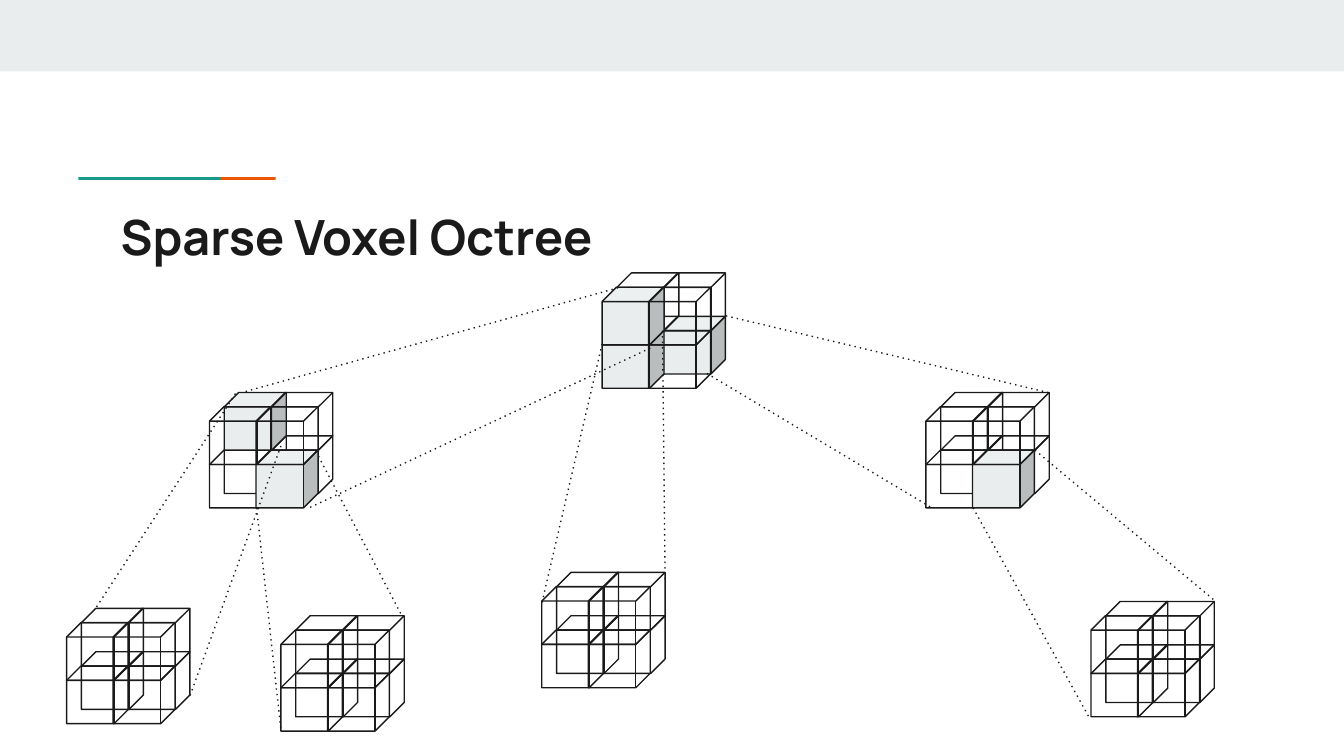
from itertools import product

from pptx import Presentation
from pptx.dml.color import RGBColor
from pptx.enum import dml, shapes, text
from pptx.oxml.ns import qn
from pptx.util import Cm, Pt

INK, PALE, TEAL, ORANGE = "1A1A1A", "E9EDEE", "1A9988", "EB5600"
TITLE = "Sparse Voxel Octree"

# left, top, width, height in cm
BARS = [
    (0, 0, 25.4, 1.35, PALE),
    (1.48, 3.35, 2.7, 0.05, TEAL),
    (4.18, 3.35, 1.03, 0.05, ORANGE),
]

# left, top in cm, and the filled voxels, counted from back to front
NODES = [
    (11.38, 5.16, {1, 2, 6}),
    (3.96, 7.42, {3, 4}),
    (17.5, 7.42, {3}),
    (10.24, 10.82, set()),
    (1.26, 11.5, set()),
    (5.31, 11.64, set()),
    (20.62, 11.37, set()),
]
WIDE, HIGH = 1.17, 1.09      # one voxel
STEP, DROP = 0.88, 0.82      # to the next column, to the lower row
BACK_X, BACK_Y = 0.28, 0.27  # shift between the front and back layers

# start and end of each dotted line, in cm
LINKS = [
    (4.45, 7.44, 1.8, 11.51),
    (5.31, 8.43, 3.58, 13.18),
    (4.85, 9.6, 5.31, 13.79),
    (5.97, 8.53, 7.59, 11.63),
    (11.68, 5.44, 4.57, 7.42),
    (12.29, 6.58, 5.84, 9.6),
    (11.38, 6.5, 10.24, 11.4),
    (12.52, 6.25, 12.57, 10.95),
    (13.72, 5.97, 19.81, 7.42),
    (13.36, 7.06, 17.58, 9.58),
    (18.39, 9.6, 20.6, 13.59),
    (19.56, 8.51, 22.99, 11.38),
]


def color(code):
    return RGBColor.from_string(code)


def add_box(slide, kind, box, fill=None, line=None):
    shape = slide.shapes.add_shape(kind, *map(Cm, box))
    shape.shadow.inherit = False
    if fill:
        shape.fill.solid()
        shape.fill.fore_color.rgb = color(fill)
    else:
        shape.fill.background()
    if line:
        shape.line.color.rgb = color(line)
        shape.line.width = Pt(0.75)
    else:
        shape.line.fill.background()


def add_title(slide):
    title = slide.shapes.title
    title.left, title.top, title.width, title.height = map(Cm, (2.03, 3.66, 21.36, 1.5))
    frame = title.text_frame
    frame.word_wrap = True
    frame.auto_size = text.MSO_AUTO_SIZE.NONE
    frame.vertical_anchor = text.MSO_ANCHOR.TOP
    frame.margin_left = frame.margin_right = Cm(0.25)
    frame.margin_top = frame.margin_bottom = Cm(0.25)
    para = frame.paragraphs[0]
    para.alignment = text.PP_ALIGN.LEFT
    para.line_spacing = 1.0
    run = para.add_run()
    run.text = TITLE
    run.font.name = "Manrope"
    run.font.size = Pt(26)
    run.font.bold = True
    run.font.color.rgb = color(INK)


def add_node(slide, left, top, full):
    """Stack eight voxels: lower row first, back layer before front."""
    for i, (low, back, col) in enumerate(product((1, 0), (1, 0), (0, 1))):
        x = left + col * STEP + back * BACK_X
        y = top + low * DROP + (1 - back) * BACK_Y
        fill = PALE if i in full else None
        add_box(slide, shapes.MSO_SHAPE.CUBE, (x, y, WIDE, HIGH), fill, INK)


def add_link(slide, ends):
    link = slide.shapes.add_connector(shapes.MSO_CONNECTOR.STRAIGHT, *map(Cm, ends))
    link.line.color.rgb = color(INK)
    link.line.width = Pt(0.75)
    link.line.dash_style = dml.MSO_LINE.ROUND_DOT
    props = link._element.spPr
    props.find(".//" + qn("a:prstDash")).set("val", "dot")
    props.append(props.makeelement(qn("a:effectLst"), {}))


def main():
    deck = Presentation()
    deck.slide_width, deck.slide_height = Cm(25.4), Cm(14.29)
    slide = deck.slides.add_slide(deck.slide_layouts[5])
    for *box, fill in BARS:
        add_box(slide, shapes.MSO_SHAPE.RECTANGLE, box, fill)
    add_title(slide)
    for node in NODES:
        add_node(slide, *node)
    for ends in LINKS:
        add_link(slide, ends)
    deck.save("out.pptx")


if __name__ == "__main__":
    main()
